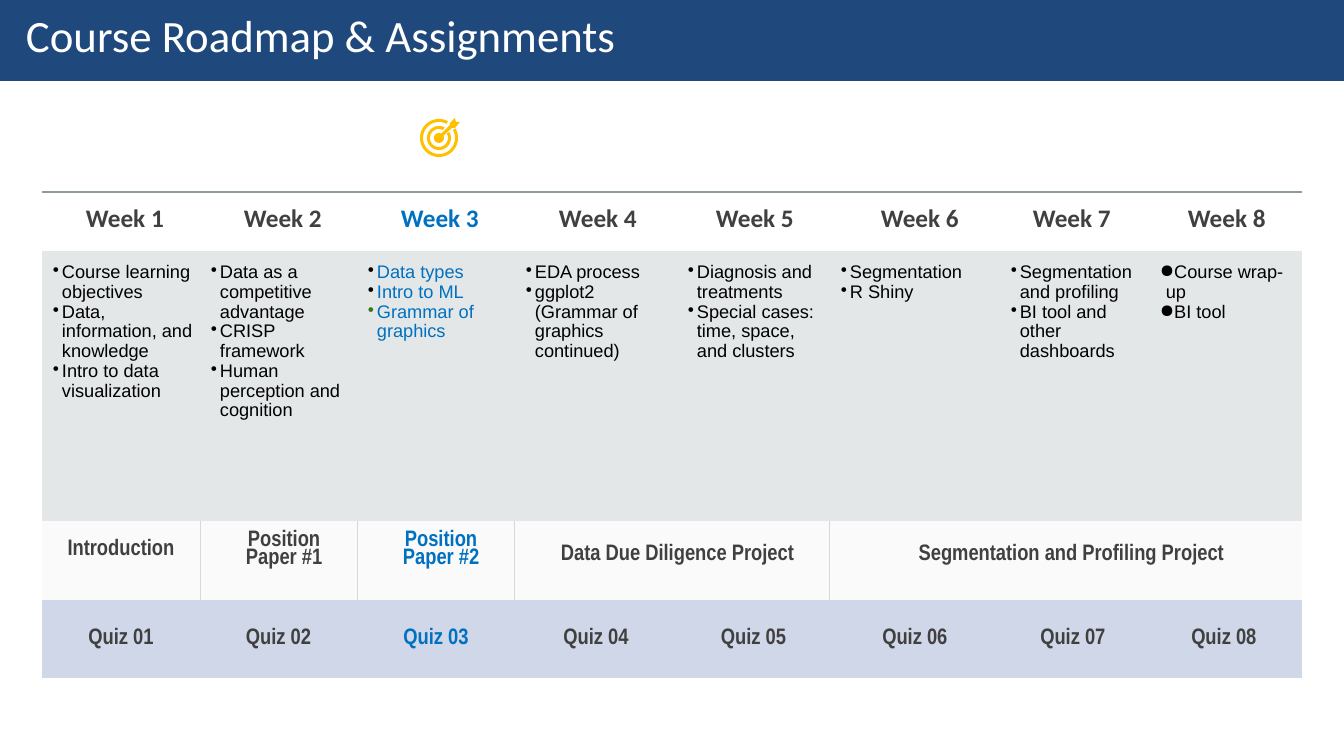
import math

from lxml import etree
from pptx import Presentation
from pptx import util as u
from pptx.dml.color import RGBColor
from pptx.enum import shapes, text
from pptx.oxml import ns

PX = 914400 / 100.8
NAVY = RGBColor(0x1F, 0x49, 0x7D)
WHITE = RGBColor(0xFF, 0xFF, 0xFF)
BLACK = RGBColor(0, 0, 0)
DARK = RGBColor(0x40, 0x40, 0x40)
BLUE = RGBColor(0x00, 0x70, 0xC0)
GREEN = RGBColor(0x38, 0x76, 0x1D)
GOLD = RGBColor(0xFF, 0xC0, 0x00)
RULE = RGBColor(0x8F, 0x9A, 0x9D)
DIVIDER = RGBColor(0xD9, 0xD9, 0xD9)
TOPIC_FILL = RGBColor(0xE4, 0xE7, 0xE7)
PROJECT_FILL = RGBColor(0xFA, 0xFA, 0xFA)
QUIZ_FILL = RGBColor(0xD0, 0xD7, 0xE8)
NO_STYLE = "{2D5ABB26-0587-4C30-8999-92F81FD0307C}"

CURRENT_WEEK = 2
COLUMN_WIDTHS = [158, 157, 158, 162, 153, 170, 146, 156]
ROW_HEIGHTS = [59, 270, 79, 78]
WEEK_INDENTS = [44, 44, 44, 44, 39, 51, 33, 42]
TOPICS = [
    ["Course learning objectives", "Data, information, and knowledge", "Intro to data visualization"],
    ["Data as a competitive advantage", "CRISP framework", "Human perception and cognition"],
    ["Data types", "Intro to ML", "Grammar of graphics"],
    ["EDA process", "ggplot2 (Grammar of graphics continued)"],
    ["Diagnosis and treatments", "Special cases: time, space, and clusters"],
    ["Segmentation", "R Shiny"],
    ["Segmentation and profiling", "BI tool and other dashboards"],
    ["Course wrap-up", "BI tool"],
]
# text, first column, columns spanned, top and bottom margin, left and first-line indent, centred
PROJECTS = [
    ("Introduction", 0, 1, 0, 22, 0, 0, True),
    ("Position Paper #1", 1, 1, 12, 0, 46, 2, False),
    ("Position Paper #2", 2, 1, 12, 0, 46, 2, False),
    ("Data Due Diligence Project", 3, 2, 23, 0, 46, 0, False),
    ("Segmentation and Profiling Project", 5, 3, 23, 0, 11, 0, True),
]


def px(length):
    return u.Emu(round(length * PX))


def write(paragraph, content, font, color, left=0, first=0, bullet=None, bullet_color=BLACK):
    """Fill a paragraph; font is (name, size, bold), indents are in px."""
    properties = paragraph._p.get_or_add_pPr()
    properties.set("marL", str(px(left)))
    properties.set("indent", str(px(first)))
    if bullet:
        bullet_fill = etree.SubElement(properties, ns.qn("a:buClr"))
        etree.SubElement(bullet_fill, ns.qn("a:srgbClr"), val=str(bullet_color))
        etree.SubElement(properties, ns.qn("a:buChar"), char=bullet)
    paragraph.add_run().text = content
    paragraph.font.name, paragraph.font.size, paragraph.font.bold = font[0], u.Pt(font[1]), font[2]
    paragraph.font.color.rgb = color


presentation = Presentation()
presentation.slide_width, presentation.slide_height = px(1344), px(756)
slide = presentation.slides.add_slide(presentation.slide_layouts[6])

# Roadmap table
table = slide.shapes.add_table(4, 8, px(42), px(192), px(1260), px(sum(ROW_HEIGHTS))).table
table.first_row = table.horz_banding = False
table._tbl.tblPr.find(ns.qn("a:tableStyleId")).text = NO_STYLE
for column, width in zip(table.columns, COLUMN_WIDTHS):
    column.width = px(width)
for row, height in zip(table.rows, ROW_HEIGHTS):
    row.height = px(height)
for row, fill in enumerate([None, TOPIC_FILL, PROJECT_FILL, QUIZ_FILL]):
    for column in range(8):
        cell = table.cell(row, column)
        cell.margin_left = cell.margin_right = cell.margin_bottom = 0
        cell.margin_top = px(12 if row < 2 else 0)
        if fill is None:
            cell.fill.background()
        else:
            cell.fill.solid()
            cell.fill.fore_color.rgb = fill
        borders = []
        if row == 0:
            borders = [("a:lnT", RULE, 1.5)]
        elif row == 2:
            if column in (1, 2, 3, 5):
                borders.append(("a:lnL", DIVIDER, 0.75))
            if column in (0, 1, 2, 4):
                borders.append(("a:lnR", DIVIDER, 0.75))
        for position, (tag, color, width) in enumerate(borders):
            line = etree.Element(ns.qn(tag), w=str(u.Pt(width)))
            line_fill = etree.SubElement(line, ns.qn("a:solidFill"))
            etree.SubElement(line_fill, ns.qn("a:srgbClr"), val=str(color))
            cell._tc.get_or_add_tcPr().insert(position, line)

for week, topics in enumerate(TOPICS):
    current = week == CURRENT_WEEK
    label_color = BLUE if current else DARK
    write(table.cell(0, week).text_frame.paragraphs[0], f"Week {week + 1}",
          ("Calibri", 18, True), label_color, WEEK_INDENTS[week])

    frame = table.cell(1, week).text_frame
    bullet, hanging = ("●", -6) if week == 7 else ("•", -9)
    for number, topic in enumerate(topics):
        paragraph = frame.add_paragraph() if number else frame.paragraphs[0]
        paragraph.line_spacing = 0.97
        write(paragraph, topic, ("Arial", 13, False), BLUE if current else BLACK, 20, hanging,
              bullet, GREEN if current and number == 2 else BLACK)

    quiz = table.cell(3, week)
    quiz.vertical_anchor = text.MSO_ANCHOR.MIDDLE
    paragraph = quiz.text_frame.paragraphs[0]
    paragraph.alignment = text.PP_ALIGN.CENTER
    write(paragraph, f"Quiz {week + 1:02}", ("Arial Narrow", 16, True), label_color)

for content, start, span, top, bottom, left, first, centred in PROJECTS:
    cell = table.cell(2, start)
    if span > 1:
        cell.merge(table.cell(2, start + span - 1))
    cell.margin_top, cell.margin_bottom = px(top), px(bottom)
    if start == 0:
        cell.vertical_anchor = text.MSO_ANCHOR.MIDDLE
    paragraph = cell.text_frame.paragraphs[0]
    if centred:
        paragraph.alignment = text.PP_ALIGN.CENTER
    if first:
        paragraph.line_spacing = 0.82
    write(paragraph, content, ("Arial Narrow", 16, True),
          BLUE if start == CURRENT_WEEK else DARK, left, first)

# Title band
band = slide.shapes.add_shape(shapes.MSO_SHAPE.RECTANGLE, 0, 0, px(1344), px(81))
band.shadow.inherit = False
band.fill.solid()
band.fill.fore_color.rgb = NAVY
band.line.fill.background()
title = slide.shapes.add_textbox(px(25), px(7), px(1319), px(55)).text_frame
title.word_wrap = True
title.margin_left = title.margin_right = title.margin_bottom = 0
title.margin_top = px(1)
write(title.paragraphs[0], "Course Roadmap & Assignments", ("Calibri", 32, False), WHITE, 1)

# Target icon: two rings open toward the dart, a bullseye and the dart
CENTER_X, CENTER_Y = 439, 138
outlines = []
for outer, inner in [(19, 16), (12, 9)]:
    sweep = [math.radians(angle) for angle in range(62, 391, 4)]
    arcs = [(outer, angle) for angle in sweep] + [(inner, angle) for angle in reversed(sweep)]
    outlines.append([(CENTER_X + radius * math.cos(angle), CENTER_Y - radius * math.sin(angle))
                     for radius, angle in arcs])
outlines.append([(CENTER_X + 5 * math.cos(math.radians(angle)), CENTER_Y - 5 * math.sin(math.radians(angle)))
                 for angle in range(0, 360, 15)])
outlines.append([(460, 122), (456, 122), (455, 118), (450, 123), (450, 125),
                 (439, 136), (441, 138), (452, 128), (455, 128)])
for outline in outlines:
    points = [(px(x), px(y)) for x, y in outline]
    builder = slide.shapes.build_freeform(*points[0])
    builder.add_line_segments(points[1:], close=True)
    shape = builder.convert_to_shape()
    shape.shadow.inherit = False
    shape.fill.solid()
    shape.fill.fore_color.rgb = GOLD
    shape.line.fill.background()

presentation.save("out.pptx")
